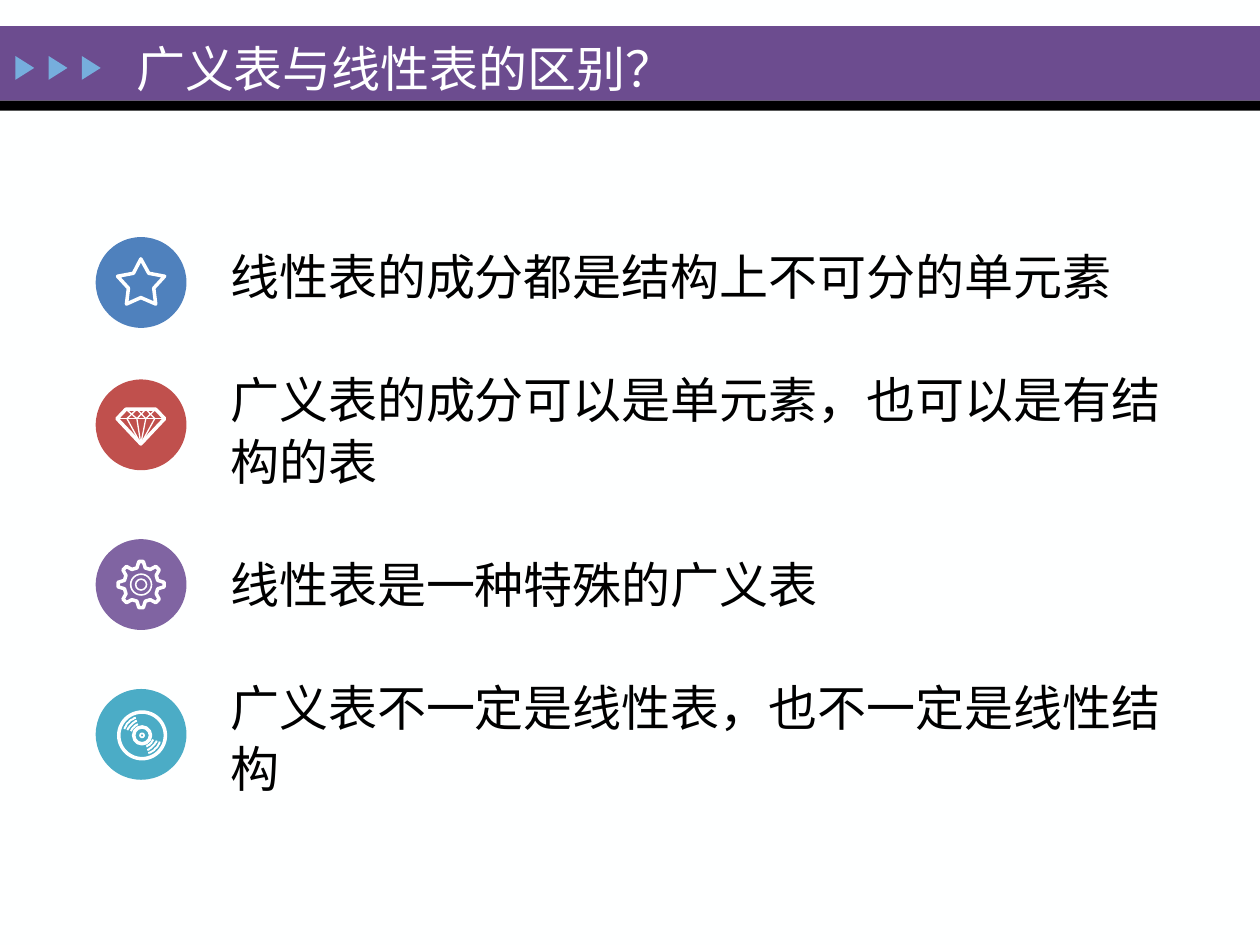
from math import cos, radians, sin

from lxml.etree import SubElement
from pptx import Presentation
from pptx.dml.color import RGBColor
from pptx.enum.shapes import MSO_SHAPE
from pptx.enum.text import MSO_ANCHOR, MSO_AUTO_SIZE, PP_ALIGN
from pptx.oxml.ns import qn
from pptx.util import Cm, Pt

HUES = {
    "page": "FEFFFF", "band": "6C4C8F", "rule": "000000", "arrow": "76AEDD",
    "star": "4F81BD", "gem": "C0504D", "gear": "8064A2", "disc": "4BACC6",
    "white": "FFFFFF", "text": "000000",
}


def paint(shape, hue, width=0):
    shape.shadow.inherit = False
    if width:
        shape.fill.background()
        shape.line.color.rgb = RGBColor.from_string(HUES[hue])
        shape.line.width = Pt(width)
    else:
        shape.fill.solid()
        shape.fill.fore_color.rgb = RGBColor.from_string(HUES[hue])
        shape.line.fill.background()


def polar(r, angle, x=0, y=0):
    return x + r * cos(radians(angle)), y + r * sin(radians(angle))


deck = Presentation()
deck.slide_width, deck.slide_height = Cm(25.4), Cm(19.05)
slide = deck.slides.add_slide(deck.slide_layouts[1])
slide.background.fill.solid()
slide.background.fill.fore_color.rgb = RGBColor.from_string(HUES["page"])

for hue, top, height in [("band", 0.53, 1.5), ("rule", 2.03, 0.2)]:
    bar = slide.shapes.add_shape(MSO_SHAPE.RECTANGLE, 0, Cm(top), Cm(25.4), Cm(height))
    paint(bar, hue)

for i in range(3):
    arrow = slide.shapes.add_shape(
        MSO_SHAPE.ISOSCELES_TRIANGLE, Cm(0.26 + 0.67 * i), Cm(1.18), Cm(0.48), Cm(0.38))
    arrow.rotation = 90
    paint(arrow, "arrow")

star = [polar(27 if i % 2 else 50, 36 * i - 90, 0, 3) for i in range(10)]
gear = [polar(r, 45 * i + turn) for i in range(8)
        for r, turn in [(35, -14), (47, -6), (47, 6), (35, 14)]]
gem = [(-30, -32), (30, -32), (48, -13), (0, 38), (-48, -13)]
facets = [
    [(-48, -13), (48, -13)],
    [(-30, -32), (-9, -13), (9, -32), (28, -13)],
    [(30, -32), (9, -13), (-9, -32), (-28, -13)],
    [(-28, -13), (0, 38), (28, -13)],
    [(-9, -13), (0, 38), (9, -13)],
]
arcs = [[polar(r, start + step, 2, 2) for step in range(0, 51, 5)]
        for start in (20, 200) for r in (24, 31, 38)]

icons = [
    ("star", 4.78, [(star, True, 2)], 0, []),
    ("gem", 7.65, [(gem, True, 2)] + [(line, False, 0.75) for line in facets], 0, []),
    ("gear", 10.87, [(gear, True, 2)], 0, [(0.21, 0.9), (0.11, 0.9)]),
    ("disc", 13.89, [(line, False, 1.1) for line in arcs], 0.02,
     [(0.47, 2), (0.17, 2), (0.04, 1)]),
]
left, size = 1.93, 1.83
for name, top, lines, shift, rings in icons:
    icon = slide.shapes.add_group_shape().shapes
    paint(icon.add_shape(MSO_SHAPE.OVAL, Cm(left), Cm(top), Cm(size), Cm(size)), name)
    mid_x, mid_y = left + size / 2, top + size / 2
    for points, closed, width in lines:
        points = [(100 * mid_x + x, 100 * mid_y + y) for x, y in points]
        pen = icon.build_freeform(*points[0], scale=Cm(0.01))
        pen.add_line_segments(points[1:], close=closed)
        paint(pen.convert_to_shape(), "white", width)
    for r, width in rings:
        ring = icon.add_shape(MSO_SHAPE.OVAL, Cm(mid_x + shift - r), Cm(mid_y + shift - r),
                              Cm(2 * r), Cm(2 * r))
        paint(ring, "white", width)

title, body = slide.shapes.title, slide.placeholders[1]
title.text_frame.text = "广义表与线性表的区别？"
body.text_frame.text = "\n".join([
    "线性表的成分都是结构上不可分的单元素",
    "广义表的成分可以是单元素，也可以是有结构的表",
    "线性表是一种特殊的广义表",
    "广义表不一定是线性表，也不一定是线性结构",
])
for box, place, anchor, hue in [
    (title, (2.49, 0.66, 13.31, 1.42), MSO_ANCHOR.MIDDLE, "page"),
    (body, (4.39, 4.78, 19.43, 11.58), MSO_ANCHOR.TOP, "text"),
]:
    box.left, box.top, box.width, box.height = map(Cm, place)
    frame = box.text_frame
    frame.word_wrap = True
    frame.auto_size = MSO_AUTO_SIZE.NONE
    frame.vertical_anchor = anchor
    for para in frame.paragraphs:
        para.alignment = PP_ALIGN.LEFT
        for run in para.runs:
            run.font.name = "Times New Roman"
            run.font.size = Pt(28)
            run.font.color.rgb = RGBColor.from_string(HUES[hue])
    box.element.getparent().append(box.element)

for i, para in enumerate(body.text_frame.paragraphs):
    para.line_spacing = 1.05
    para.space_before = Pt(35 if i else 0)
    props = para._p.get_or_add_pPr()
    props.set("marL", "0")
    props.set("indent", "0")
    SubElement(props, qn("a:buNone"))

deck.save("out.pptx")
